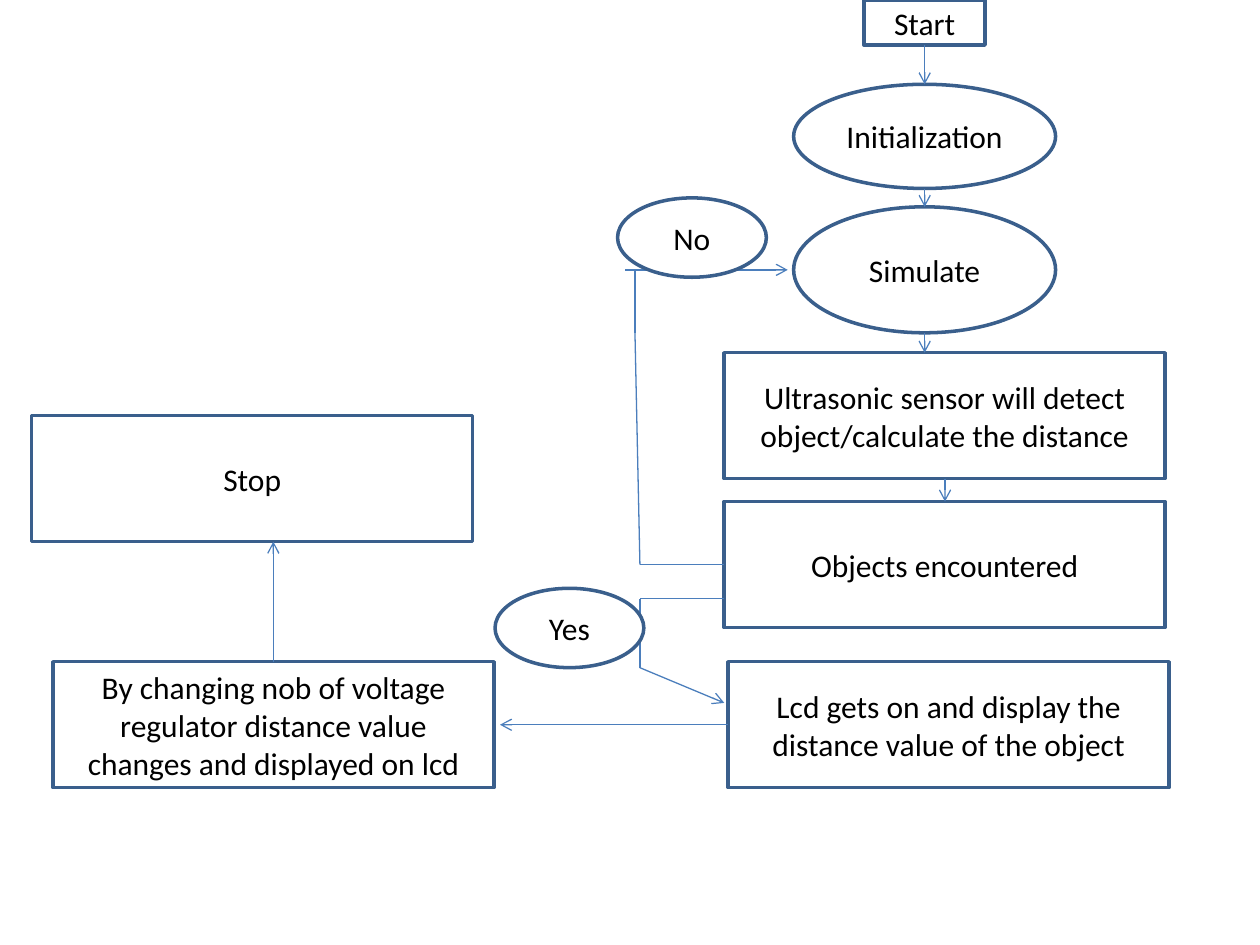
"""Build a flowchart slide of an ultrasonic distance meter."""
from dataclasses import dataclass
from itertools import pairwise

from lxml.etree import SubElement
from pptx import Presentation
from pptx.dml.color import RGBColor
from pptx.enum.shapes import MSO_CONNECTOR, MSO_SHAPE
from pptx.enum.text import MSO_ANCHOR, PP_ALIGN
from pptx.oxml.ns import qn
from pptx.util import Cm, Pt


@dataclass(frozen=True)
class Theme:
    font: str = "Calibri"
    text_size: float = 18
    text: str = "000000"
    fill: str = "FFFFFF"
    outline: str = "3A5F8C"
    outline_width: float = 2
    link: str = "4B7EBC"
    link_width: float = 0.75


THEME = Theme()
RECT, OVAL = MSO_SHAPE.RECTANGLE, MSO_SHAPE.OVAL
STEP_SIZE = (8.89, 2.54)
ANSWER_SIZE = (3, 1.6)

STEPS = [
    ("Start", RECT, (17.42, 0), (2.44, 0.91)),
    ("Simulate", OVAL, (16, 4.17), (5.28, 2.54)),
    ("Initialization", OVAL, (16, 1.7), (5.28, 2.1)),
    ("Ultrasonic sensor will detect object/calculate the distance", RECT, (14.6, 7.11), STEP_SIZE),
    ("Objects encountered", RECT, (14.6, 10.11), STEP_SIZE),
    ("Lcd gets on and display the distance value of the object", RECT, (14.68, 13.34), STEP_SIZE),
    ("By changing nob of voltage regulator distance value changes and displayed on lcd",
     RECT, (1.07, 13.34), STEP_SIZE),
    ("Stop", RECT, (0.64, 8.38), STEP_SIZE),
]
ANSWERS = [
    ("No", OVAL, (12.45, 3.99), ANSWER_SIZE),
    ("Yes", OVAL, (9.98, 11.86), ANSWER_SIZE),
]
ARROWS = [
    [(5.51, 13.34), (5.51, 10.92)],
    [(14.68, 14.61), (10.08, 14.61)],
    [(18.64, 0.91), (18.64, 1.7)],
    [(18.64, 3.8), (18.64, 4.17)],
    [(18.64, 6.71), (18.64, 7.11)],
    [(19.05, 9.65), (19.05, 10.11)],
    [(12.6, 5.44), (15.88, 5.44)],
    [(14.6, 12.07), (12.9, 12.07), (12.9, 13.46), (14.6, 14.17)],
]
NO_LOOP = [(14.6, 11.38), (12.9, 11.38), (12.8, 6.71), (12.8, 5.44)]


def add_box(slide, label, kind, place, size):
    box = slide.shapes.add_shape(kind, *(Cm(value) for value in place + size))
    box.shadow.inherit = False
    box.fill.solid()
    box.fill.fore_color.rgb = RGBColor.from_string(THEME.fill)
    box.line.color.rgb = RGBColor.from_string(THEME.outline)
    box.line.width = Pt(THEME.outline_width)
    frame = box.text_frame
    frame.word_wrap = True
    frame.vertical_anchor = MSO_ANCHOR.MIDDLE
    frame.text = label
    para = frame.paragraphs[0]
    para.alignment = PP_ALIGN.CENTER
    font = para.runs[0].font
    font.name = THEME.font
    font.size = Pt(THEME.text_size)
    font.color.rgb = RGBColor.from_string(THEME.text)


def add_route(slide, points, arrow=True):
    for start, end in pairwise(points):
        link = slide.shapes.add_connector(
            MSO_CONNECTOR.STRAIGHT, *(Cm(value) for value in start + end))
        link.line.color.rgb = RGBColor.from_string(THEME.link)
        link.line.width = Pt(THEME.link_width)
        properties = link.line._get_or_add_ln()
        if arrow and end == points[-1]:
            SubElement(properties, qn("a:tailEnd"), type="arrow")
        SubElement(link._element.spPr, qn("a:effectLst"))


deck = Presentation()
deck.slide_width, deck.slide_height = Cm(25.4), Cm(19.05)
page = deck.slides.add_slide(deck.slide_layouts[6])
for step in STEPS:
    add_box(page, *step)
for route in ARROWS:
    add_route(page, route)
add_route(page, NO_LOOP, arrow=False)
for answer in ANSWERS:
    add_box(page, *answer)
deck.save("out.pptx")
